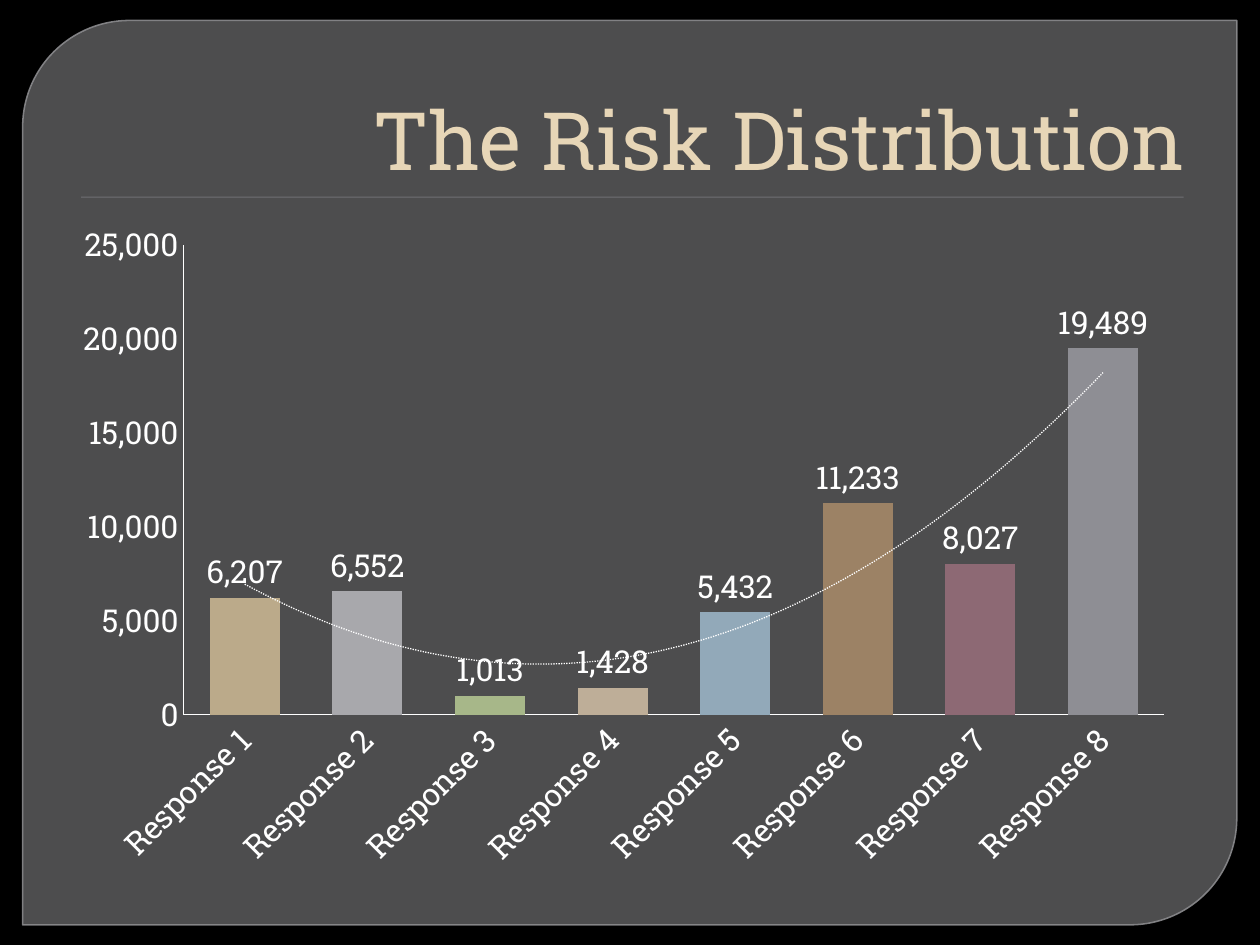
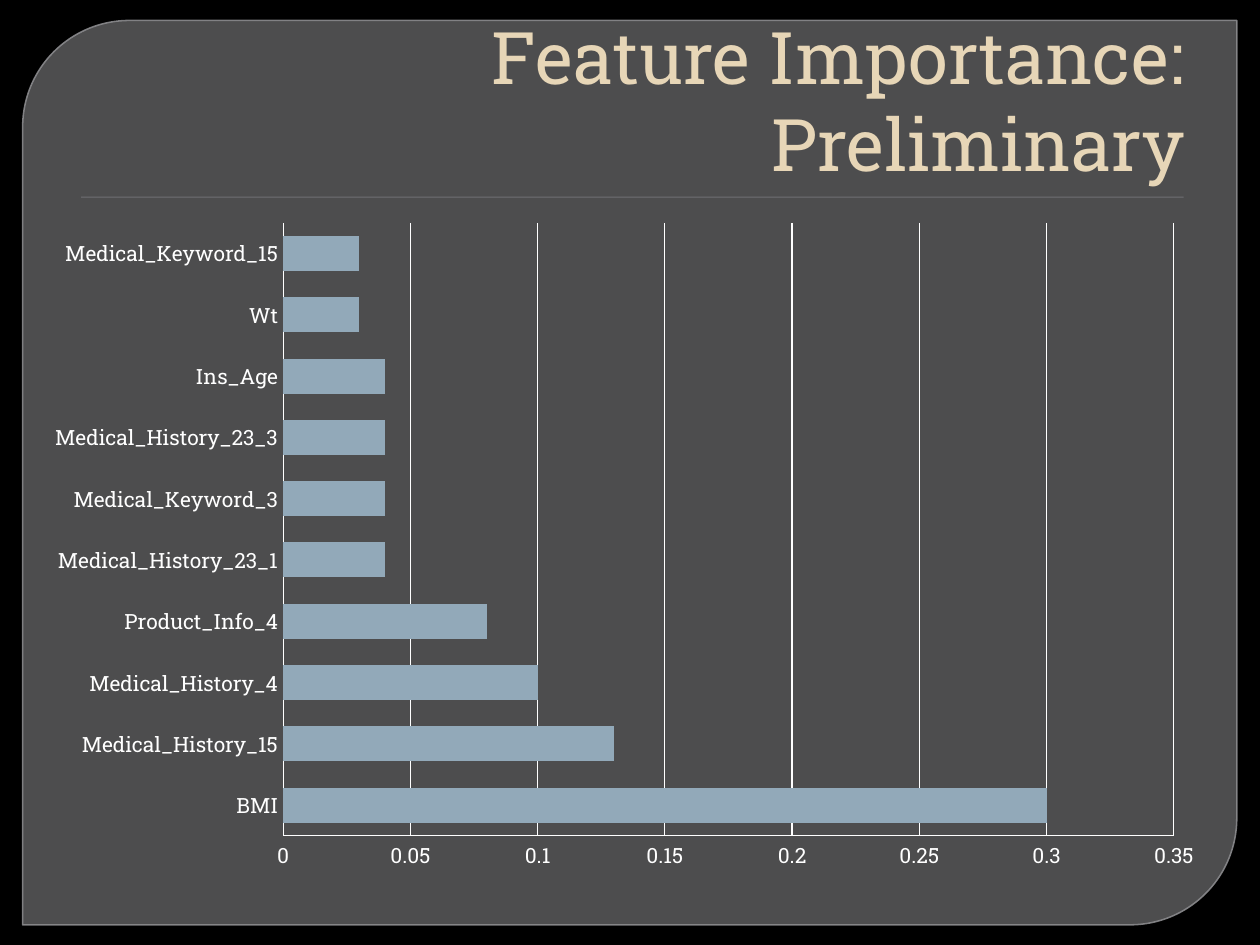
from dataclasses import dataclass
from typing import Any

from pptx import Presentation
from pptx.chart.chart import Chart
from pptx.chart.data import CategoryChartData
from pptx.dml.color import RGBColor
from pptx.enum.chart import XL_CHART_TYPE, XL_LABEL_POSITION, XL_TICK_MARK
from pptx.enum.dml import MSO_LINE
from pptx.enum.shapes import MSO_SHAPE
from pptx.enum.text import MSO_ANCHOR, MSO_AUTO_SIZE, PP_ALIGN
from pptx.oxml import parse_xml
from pptx.oxml.ns import nsdecls
from pptx.presentation import Presentation as Deck
from pptx.shapes.autoshape import Shape
from pptx.slide import Slide
from pptx.util import Pt

BLACK = RGBColor(0x00, 0x00, 0x00)
WHITE = RGBColor(0xFF, 0xFF, 0xFF)
CREAM = RGBColor(0xE7, 0xD6, 0xB7)
PANEL_GRAY = RGBColor(0x77, 0x77, 0x79)
EDGE_GRAY = RGBColor(0x8D, 0x8D, 0x90)
RULE_GRAY = RGBColor(0x6F, 0x6F, 0x74)
SAND = RGBColor(0xBB, 0xAA, 0x8A)
SILVER = RGBColor(0xA8, 0xA8, 0xAC)
GREEN = RGBColor(0xA7, 0xB7, 0x89)
BEIGE = RGBColor(0xBE, 0xAE, 0x98)
BLUE = RGBColor(0x92, 0xA9, 0xB9)
BROWN = RGBColor(0x9C, 0x82, 0x65)
PLUM = RGBColor(0x8D, 0x69, 0x74)
STEEL = RGBColor(0x8E, 0x8E, 0x94)

FONT = "Roboto Slab"
TITLE_PLACE = {"left": Pt(36), "top": Pt(20.16), "width": Pt(648), "height": Pt(90)}
TITLE_FRAME = {
    "vertical_anchor": MSO_ANCHOR.BOTTOM,
    "word_wrap": True,
    "auto_size": MSO_AUTO_SIZE.NONE,
    "margin_left": Pt(7.2),
    "margin_right": Pt(7.2),
    "margin_top": Pt(3.6),
    "margin_bottom": Pt(3.6),
}
CHART_TOP, CHART_HEIGHT = 120.24, 383.76


@dataclass(frozen=True)
class Backdrop:
    """A shape that lies behind the title of every slide."""

    preset: MSO_SHAPE
    left: float
    top: float
    width: float
    height: float
    color: RGBColor


PANEL = Backdrop(MSO_SHAPE.ROUND_2_DIAG_RECTANGLE, 12.96, 11.7, 693.8, 516.8, PANEL_GRAY)
RULE = Backdrop(MSO_SHAPE.RECTANGLE, 46.4, 112.32, 630, 0.72, RULE_GRAY)


@dataclass(frozen=True)
class PlotArea:
    """The inner plot area in points, measured from the chart's corner."""

    left: float
    top: float
    width: float
    height: float


@dataclass(frozen=True)
class ChartSlide:
    """Title, data and layout of one chart slide."""

    title: str
    title_size: float
    kind: XL_CHART_TYPE
    left: float
    width: float
    plot_area: PlotArea
    text_size: float
    values: dict[str, float]
    number_format: str
    axis_scale: dict[str, float]
    overlap: int
    gridlines: bool


RISK = ChartSlide(
    "The Risk Distribution", 46, XL_CHART_TYPE.COLUMN_CLUSTERED, 34.56, 643.68,
    PlotArea(70.3, 19.6, 560.5, 268.6), 18,
    {
        f"Response {number}": count
        for number, count in enumerate((6207, 6552, 1013, 1428, 5432, 11233, 8027, 19489), 1)
    },
    "#,##0", {"minimum_scale": 0, "maximum_scale": 25000, "major_unit": 5000}, 0, False,
)
RISK_COLORS = (SAND, SILVER, GREEN, BEIGE, BLUE, BROWN, PLUM, STEEL)

FEATURES = ChartSlide(
    "Feature Importance: Preliminary", 41.4, XL_CHART_TYPE.BAR_CLUSTERED, 18, 678.24,
    PlotArea(143.8, 7.1, 509, 350.3), 12,
    {
        "BMI": 0.3,
        "Medical_History_15": 0.13,
        "Medical_History_4": 0.1,
        "Product_Info_4": 0.08,
        "Medical_History_23_1": 0.04,
        "Medical_Keyword_3": 0.04,
        "Medical_History_23_3": 0.04,
        "Ins_Age": 0.04,
        "Wt": 0.03,
        "Medical_Keyword_15": 0.03,
    },
    "General", {"minimum_scale": 0, "maximum_scale": 0.35, "major_unit": 0.05}, -25, True,
)


def apply_format(target: Any, values: dict[str, Any]) -> None:
    """Set each named attribute of the target."""
    for name, value in values.items():
        setattr(target, name, value)


def paint(fill: Any, color: RGBColor) -> None:
    """Give a fill one solid colour."""
    fill.solid()
    fill.fore_color.rgb = color


def set_opacity(shape: Shape, query: str, percent: int) -> None:
    """Set the opacity of a colour in the shape properties."""
    for color in shape.element.spPr.xpath(query):
        color.append(parse_xml(f'<a:alpha {nsdecls("a")} val="{percent * 1000}"/>'))


def add_backdrop(slide: Slide, backdrop: Backdrop) -> Shape:
    """Add a plain filled shape just behind the title."""
    box = (Pt(backdrop.left), Pt(backdrop.top), Pt(backdrop.width), Pt(backdrop.height))
    shape = slide.shapes.add_shape(backdrop.preset, *box)
    shape.shadow.inherit = False
    paint(shape.fill, backdrop.color)
    shape.line.fill.background()
    slide.shapes.title.element.addprevious(shape.element)
    return shape


def add_frame(slide: Slide) -> None:
    """Draw the background, the rounded panel and the title rule."""
    paint(slide.background.fill, BLACK)
    panel = add_backdrop(slide, PANEL)
    panel.adjustments[0] = 0.118
    panel.adjustments[1] = 0
    paint(panel.line.fill, EDGE_GRAY)
    panel.line.width = Pt(0.87)
    set_opacity(panel, "./a:solidFill/a:srgbClr", 65)
    set_opacity(panel, "./a:ln/a:solidFill/a:srgbClr", 88)
    rule = add_backdrop(slide, RULE)
    rule.element.spPr.xpath("./a:effectLst")[0].append(parse_xml(
        f'<a:outerShdw {nsdecls("a")} blurRad="12700" dist="12700" dir="5400000">'
        f'<a:srgbClr val="{BLACK}"><a:alpha val="75000"/></a:srgbClr></a:outerShdw>'
    ))


def format_title(slide: Slide, content: ChartSlide) -> None:
    """Place and format the title placeholder."""
    title = slide.shapes.title
    apply_format(title, TITLE_PLACE)
    apply_format(title.text_frame, TITLE_FRAME)
    title.text_frame.text = content.title
    paragraph = title.text_frame.paragraphs[0]
    apply_format(paragraph, {"alignment": PP_ALIGN.RIGHT, "line_spacing": 1.0})
    font = paragraph.runs[0].font
    apply_format(font, {"name": FONT, "size": Pt(content.title_size), "bold": False})
    font.color.rgb = CREAM


def set_plot_area(chart: Chart, content: ChartSlide) -> None:
    """Fix the inner plot area as fractions of the chart."""
    area = content.plot_area
    fractions = {
        "x": area.left / content.width,
        "y": area.top / CHART_HEIGHT,
        "w": area.width / content.width,
        "h": area.height / CHART_HEIGHT,
    }
    plot_area = chart.element.xpath("./c:chart/c:plotArea")[0]
    for layout in plot_area.xpath("./c:layout"):
        plot_area.remove(layout)
    modes = "".join(f'<c:{axis}Mode val="edge"/>' for axis in "xy")
    lengths = "".join(f'<c:{name} val="{value}"/>' for name, value in fractions.items())
    plot_area.insert(0, parse_xml(
        f'<c:layout {nsdecls("c")}><c:manualLayout><c:layoutTarget val="inner"/>'
        f"{modes}{lengths}</c:manualLayout></c:layout>"
    ))


def format_axes(chart: Chart, content: ChartSlide) -> None:
    """Format both axes and the optional gridlines."""
    category_axis, value_axis = chart.category_axis, chart.value_axis
    marks = {"major_tick_mark": XL_TICK_MARK.NONE, "minor_tick_mark": XL_TICK_MARK.NONE}
    lines = [category_axis.format.line, value_axis.format.line]
    for axis in (category_axis, value_axis):
        apply_format(axis, {**marks, "has_major_gridlines": False})
    apply_format(value_axis, content.axis_scale)
    apply_format(
        value_axis.tick_labels,
        {"number_format": content.number_format, "number_format_is_linked": False},
    )
    if content.gridlines:
        value_axis.has_major_gridlines = True
        lines.append(value_axis.major_gridlines.format.line)
    for line in lines:
        line.color.rgb = WHITE
        line.width = Pt(0.75)


def add_value_chart(slide: Slide, content: ChartSlide) -> Chart:
    """Add the single-series chart of a slide."""
    data = CategoryChartData(number_format=content.number_format)
    data.categories = list(content.values)
    data.add_series("Series 1", list(content.values.values()))
    box = (Pt(content.left), Pt(CHART_TOP), Pt(content.width), Pt(CHART_HEIGHT))
    chart = slide.shapes.add_chart(content.kind, *box, data).chart
    apply_format(chart, {"has_title": False, "has_legend": False})
    apply_format(chart.font, {"name": FONT, "size": Pt(content.text_size), "bold": False})
    chart.font.color.rgb = WHITE
    plot = chart.plots[0]
    apply_format(
        plot, {"gap_width": 75, "overlap": content.overlap, "vary_by_categories": False}
    )
    series = plot.series[0]
    series.invert_if_negative = False
    paint(series.format.fill, BLUE)
    format_axes(chart, content)
    set_plot_area(chart, content)
    return chart


def add_risk_details(chart: Chart) -> None:
    """Add column colours, value labels, slanted names and a quadratic trend."""
    series = chart.plots[0].series[0]
    for index, color in enumerate(RISK_COLORS):
        paint(series.points[index].format.fill, color)
    apply_format(series.data_labels, {
        "show_value": True,
        "number_format": RISK.number_format,
        "number_format_is_linked": False,
        "position": XL_LABEL_POSITION.OUTSIDE_END,
    })
    apply_format(chart.category_axis.tick_labels.font, {"name": FONT, "size": Pt(RISK.text_size)})
    chart.category_axis.tick_labels.font.color.rgb = WHITE
    chart.element.xpath(".//c:catAx/c:txPr/a:bodyPr")[0].set("rot", "-2700000")
    trend = parse_xml(
        f'<c:trendline {nsdecls("c", "a")}><c:spPr><a:ln w="{Pt(0.75)}">'
        f'<a:solidFill><a:srgbClr val="{WHITE}"/></a:solidFill>'
        f'<a:prstDash val="{MSO_LINE.to_xml(MSO_LINE.ROUND_DOT)}"/></a:ln></c:spPr>'
        '<c:trendlineType val="poly"/><c:order val="2"/>'
        '<c:dispRSqr val="0"/><c:dispEq val="0"/></c:trendline>'
    )
    chart.element.xpath(".//c:ser/c:cat")[0].addprevious(trend)


def add_chart_slide(presentation: Deck, content: ChartSlide) -> Chart:
    """Add a framed slide with its title and chart."""
    slide = presentation.slides.add_slide(presentation.slide_layouts.get_by_name("Title Only"))
    add_frame(slide)
    format_title(slide, content)
    return add_value_chart(slide, content)


def main() -> None:
    """Build and save the presentation."""
    presentation = Presentation()
    apply_format(presentation, {"slide_width": Pt(720), "slide_height": Pt(540)})
    add_risk_details(add_chart_slide(presentation, RISK))
    add_chart_slide(presentation, FEATURES)
    presentation.save("out.pptx")


if __name__ == "__main__":
    main()
